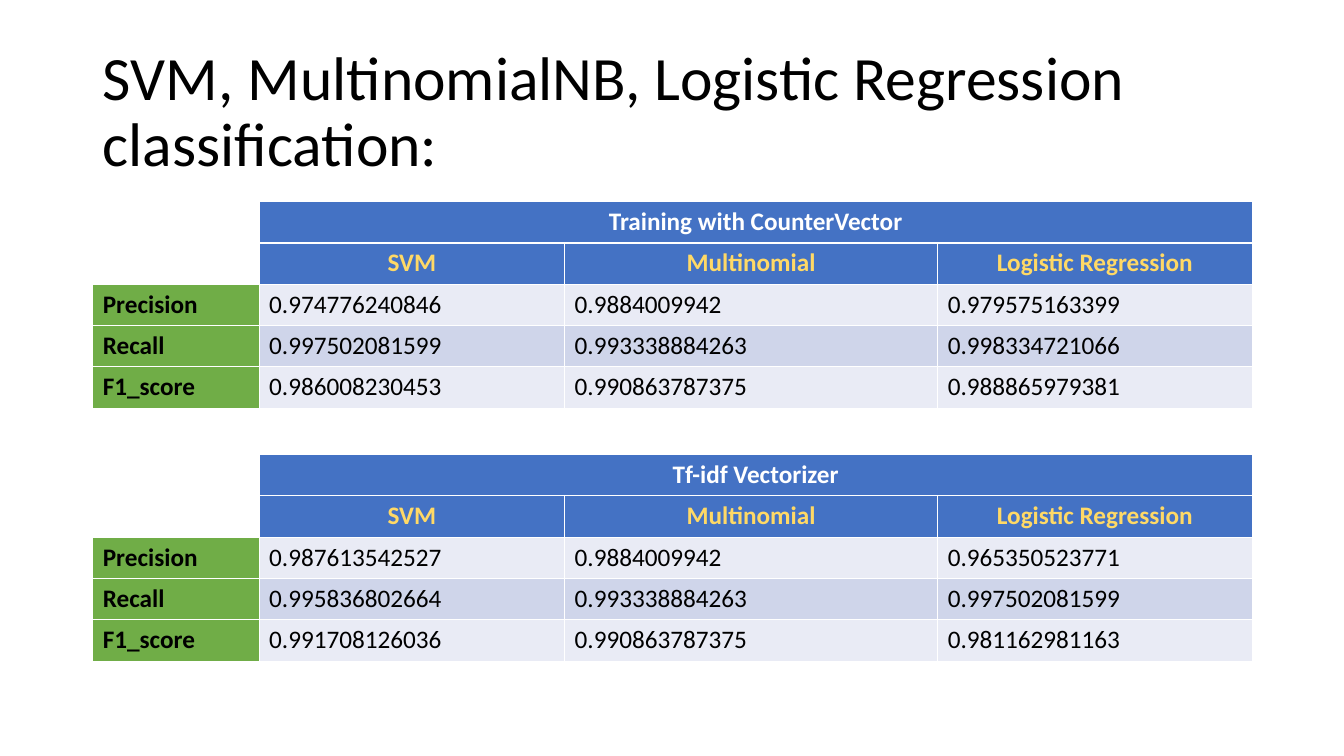
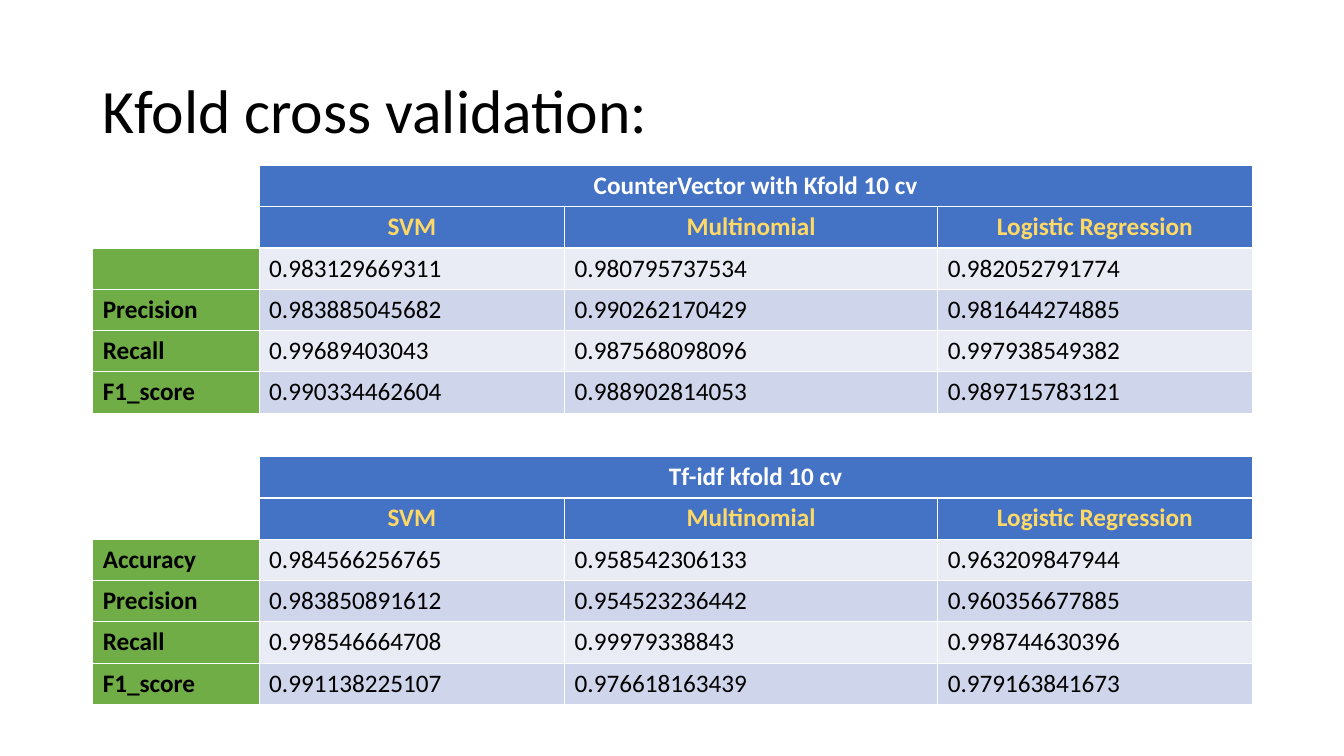
from pptx import Presentation
from pptx.dml.color import RGBColor
from pptx.enum.text import MSO_ANCHOR, PP_ALIGN
from pptx.util import Inches, Pt

FONT = "Calibri"
BLACK, WHITE = "000000", "FFFFFF"
BLUE, YELLOW, GREEN = "4472C4", "FFD966", "70AD47"
BANDS = ["E9EBF5", "CFD5EA"]
LEFT, WIDTH, ROW_HEIGHT = 0.92, 11.5, 0.41
COLUMN_WIDTHS = [1.65, 3.03, 3.7, 3.12]
MODELS = ["SVM", "Multinomial", "Logistic Regression"]

SLIDES = [
    ("SVM, MultinomialNB, Logistic Regression classification:", [
        (2, "Training with CounterVector", [
            ("Precision", "0.974776240846", "0.9884009942", "0.979575163399"),
            ("Recall", "0.997502081599", "0.993338884263", "0.998334721066"),
            ("F1_score", "0.986008230453", "0.990863787375", "0.988865979381"),
        ]),
        (4.51, "Tf-idf Vectorizer", [
            ("Precision", "0.987613542527", "0.9884009942", "0.965350523771"),
            ("Recall", "0.995836802664", "0.993338884263", "0.997502081599"),
            ("F1_score", "0.991708126036", "0.990863787375", "0.981162981163"),
        ]),
    ]),
    ("Kfold cross validation:", [
        (1.64, "CounterVector with Kfold 10 cv", [
            ("", "0.983129669311", "0.980795737534", "0.982052791774"),
            ("Precision", "0.983885045682", "0.990262170429", "0.981644274885"),
            ("Recall", "0.99689403043", "0.987568098096", "0.997938549382"),
            ("F1_score", "0.990334462604", "0.988902814053", "0.989715783121"),
        ]),
        (4.53, "Tf-idf kfold 10 cv", [
            ("Accuracy", "0.984566256765", "0.958542306133", "0.963209847944"),
            ("Precision", "0.983850891612", "0.954523236442", "0.960356677885"),
            ("Recall", "0.998546664708", "0.99979338843", "0.998744630396"),
            ("F1_score", "0.991138225107", "0.976618163439", "0.979163841673"),
        ]),
    ]),
]


def format_text(paragraph, size, color, bold=False, align=PP_ALIGN.LEFT):
    paragraph.alignment = align
    paragraph.font.name = FONT
    paragraph.font.size = Pt(size)
    paragraph.font.bold = bold
    paragraph.font.color.rgb = RGBColor.from_string(color)


def fill_cell(cell, text, fill, color=BLACK, bold=False, align=PP_ALIGN.LEFT):
    cell.fill.solid()
    cell.fill.fore_color.rgb = RGBColor.from_string(fill)
    cell.text = text
    format_text(cell.text_frame.paragraphs[0], 18, color, bold, align)


presentation = Presentation()
presentation.slide_width = Inches(13.33)
presentation.slide_height = Inches(7.5)
title_only = presentation.slide_layouts[5]

for heading, tables in SLIDES:
    slide = presentation.slides.add_slide(title_only)
    title = slide.shapes.title
    title.left, title.top = Inches(LEFT), Inches(0.4)
    title.width, title.height = Inches(WIDTH), Inches(1.45)
    title.text_frame.text = heading
    title.text_frame.word_wrap = True
    title.text_frame.vertical_anchor = MSO_ANCHOR.MIDDLE
    paragraph = title.text_frame.paragraphs[0]
    paragraph.line_spacing = 0.9
    format_text(paragraph, 44, BLACK)

    for top, caption, scores in tables:
        row_count = len(scores) + 2
        table = slide.shapes.add_table(
            row_count, len(COLUMN_WIDTHS), Inches(LEFT), Inches(top),
            Inches(WIDTH), Inches(ROW_HEIGHT * row_count)).table
        for column, width in zip(table.columns, COLUMN_WIDTHS):
            column.width = Inches(width)
        for row in table.rows:
            row.height = Inches(ROW_HEIGHT)

        table.cell(0, 0).merge(table.cell(1, 0))
        table.cell(0, 1).merge(table.cell(0, 3))
        fill_cell(table.cell(0, 0), "", WHITE)
        fill_cell(table.cell(0, 1), caption, BLUE, WHITE, True, PP_ALIGN.CENTER)
        for column_index, model in enumerate(MODELS, 1):
            fill_cell(table.cell(1, column_index), model, BLUE, YELLOW, True, PP_ALIGN.CENTER)
        for row_index, (metric, *values) in enumerate(scores, 2):
            fill_cell(table.cell(row_index, 0), metric, GREEN, bold=True)
            for column_index, value in enumerate(values, 1):
                fill_cell(table.cell(row_index, column_index), value, BANDS[row_index % 2])

presentation.save("out.pptx")
